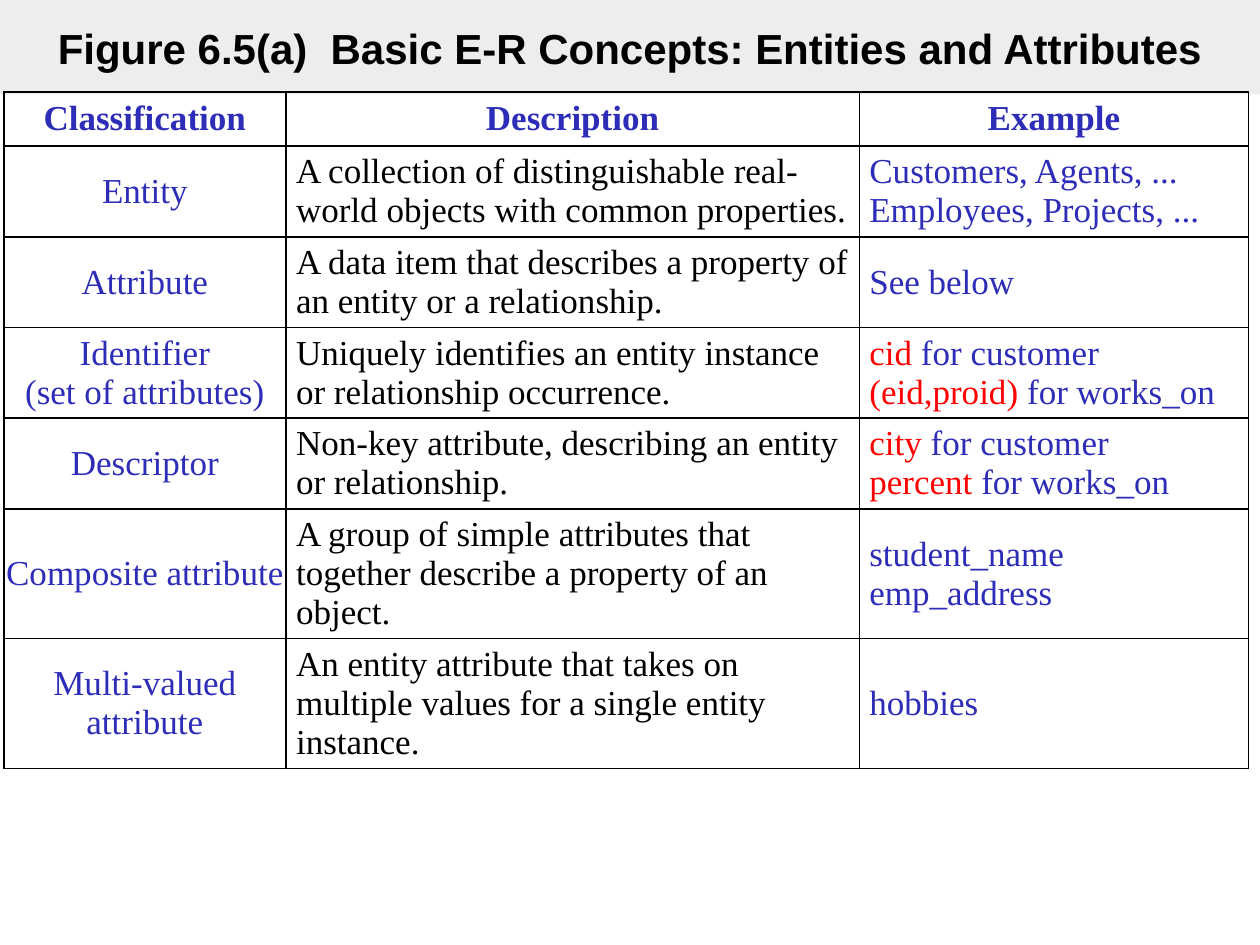
from lxml.etree import SubElement
from pptx import Presentation
from pptx.dml.color import RGBColor
from pptx.enum.shapes import MSO_SHAPE as Shape
from pptx.enum.text import MSO_ANCHOR as Anchor, PP_ALIGN as Align
from pptx.oxml.ns import qn
from pptx.util import Inches, Pt

BLUE, BLACK, RED = "2D2DB7", "000000", "FF0000"
COLS = [2.24, 4.55, 3.09]
HEAD, LINE, PAD = 0.43, 0.31, 0.05

# One line of text per newline; words before a bar are red.
ROWS = [
    ("Classification", "Description", "Example"),
    ("Entity",
     "A collection of distinguishable real-world objects with common properties.",
     "Customers, Agents, ... Employees, Projects, ..."),
    ("Attribute",
     "A data item that describes a property of an entity or a relationship.",
     "See below"),
    ("Identifier\n(set of attributes)",
     "Uniquely identifies an entity instance or relationship occurrence.",
     "cid |for customer\n(eid,proid)| for works_on"),
    ("Descriptor",
     "Non-key attribute, describing an entity or relationship.",
     "city |for customer\npercent |for works_on"),
    ("Composite attribute",
     "A group of simple attributes that together describe a property of an object.",
     "student_name\nemp_address"),
    ("Multi-valued attribute",
     "An entity attribute that takes on multiple values for a single entity instance.",
     "hobbies"),
]
LINES = [2, 2, 2, 2, 3, 3]


def paint(item, color):
    """Give a fill or a font a solid colour."""
    if hasattr(item, "solid"):
        item.solid()
        item.fore_color.rgb = RGBColor.from_string(color)
    else:
        item.color.rgb = RGBColor.from_string(color)


def frame(cell):
    """Draw a thin black line on all four sides of a cell."""
    props = cell._tc.get_or_add_tcPr()
    for side in ("lnL", "lnR", "lnT", "lnB"):
        line = SubElement(props, qn("a:" + side), w=str(Pt(1)))
        fill = SubElement(line, qn("a:solidFill"))
        SubElement(fill, qn("a:srgbClr"), val=BLACK)


deck = Presentation()
deck.slide_width, deck.slide_height = Inches(10), Inches(7.5)
slide = deck.slides.add_slide(deck.slide_layouts[6])

# Title band
band = slide.shapes.add_shape(
    Shape.RECTANGLE, 0, 0, deck.slide_width, deck.slide_height // 10)
band.shadow.inherit = False
band.line.fill.background()
paint(band.fill, "DDDDDD")
tint = band._element.spPr.find(qn("a:solidFill"))[0]
SubElement(tint, qn("a:alpha"), val="50000")
band.text_frame.word_wrap = True
band.text_frame.vertical_anchor = Anchor.MIDDLE
title = band.text_frame.paragraphs[0]
title.text = "Figure 6.5(a)  Basic E-R Concepts: Entities and Attributes"
title.alignment = Align.CENTER
title.font.name, title.font.size, title.font.bold = "Arial", Pt(24), True
paint(title.font, BLACK)

# Table of concepts
highs = [HEAD] + [n * LINE + 2 * PAD for n in LINES]
table = slide.shapes.add_table(
    len(ROWS), len(COLS), Inches(0.03), Inches(0.73),
    Inches(sum(COLS)), Inches(sum(highs))).table
table.horz_banding = False
for col, wide in zip(table.columns, COLS):
    col.width = Inches(wide)
for row, high in zip(table.rows, highs):
    row.height = Inches(high)

for r, texts in enumerate(ROWS):
    for c, text in enumerate(texts):
        cell = table.cell(r, c)
        frame(cell)
        cell.fill.background()
        label = r == 0 or c == 0
        cell.vertical_anchor = Anchor.MIDDLE
        cell.margin_left = cell.margin_right = Inches(0 if label else 0.08)
        cell.margin_top = cell.margin_bottom = Inches(PAD)
        cell.text = text.replace("|", "")
        for para, line in zip(cell.text_frame.paragraphs, text.split("\n")):
            para.alignment = Align.CENTER if label else Align.LEFT
            font = para.font
            font.name, font.size, font.bold = "Times New Roman", Pt(20), r == 0
            ink = BLACK if c == 1 and r else BLUE
            paint(font, ink)
            if "|" in line:
                key, rest = line.split("|")
                para.runs[0].text = key
                paint(para.runs[0].font, RED)
                para.add_run().text = rest

deck.save("out.pptx")
